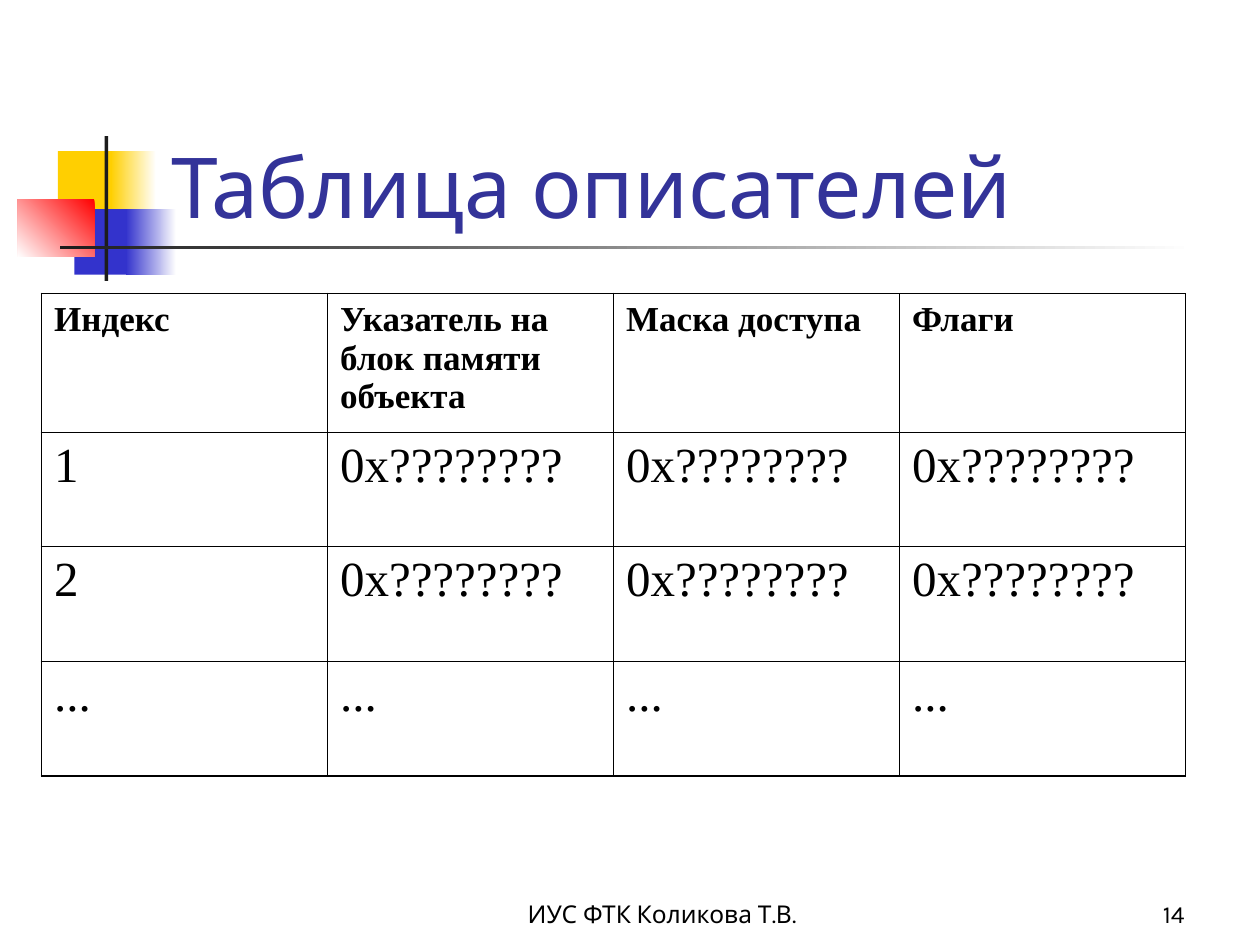
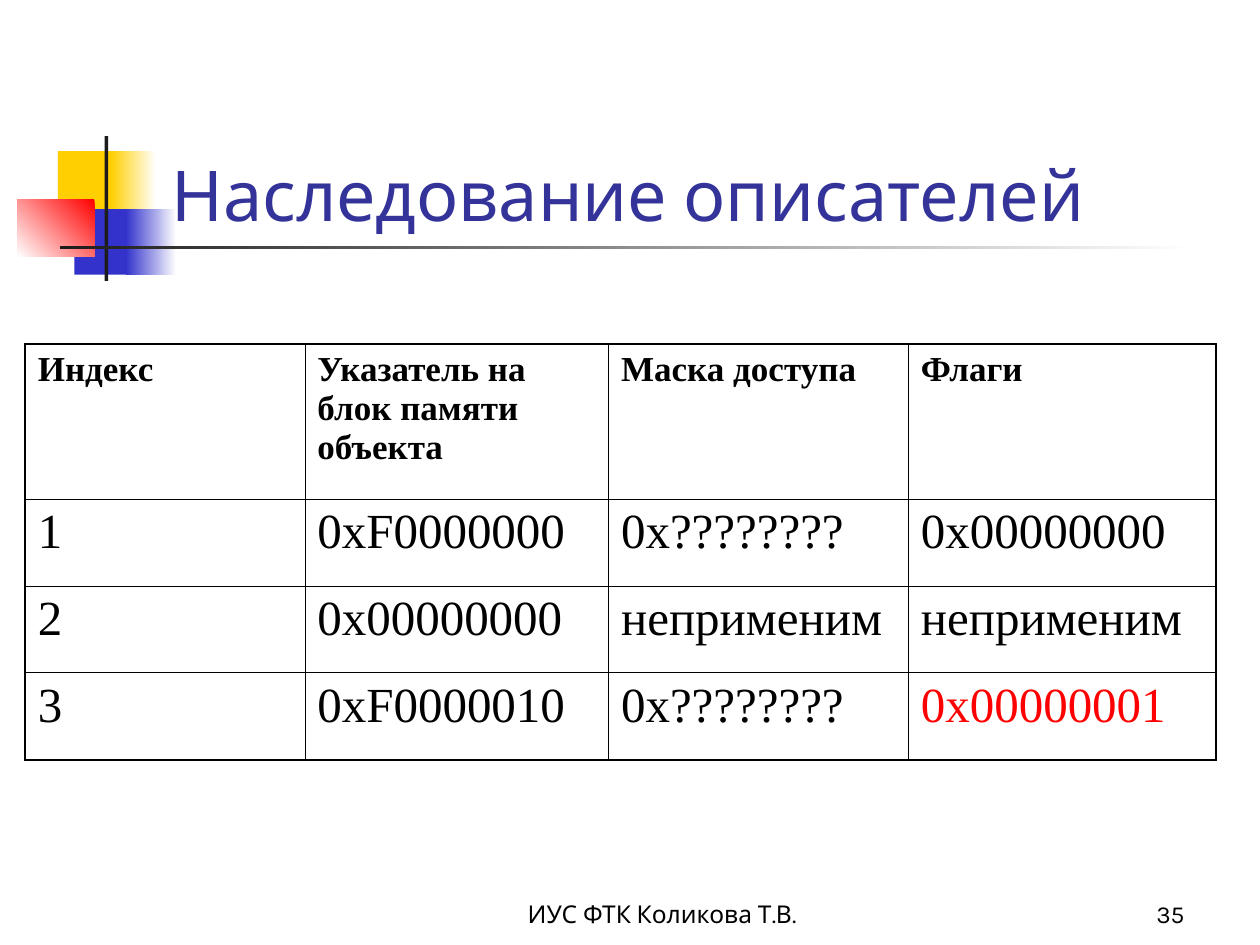
from lxml import etree
from pptx import Presentation
from pptx.dml.color import RGBColor
from pptx.enum.shapes import MSO_SHAPE
from pptx.enum.text import MSO_ANCHOR, MSO_AUTO_SIZE, PP_ALIGN
from pptx.oxml.ns import qn
from pptx.util import Inches, Pt

WHITE = RGBColor(0xFF, 0xFF, 0xFF)
BLACK = RGBColor(0x00, 0x00, 0x00)
YELLOW = RGBColor(0xFF, 0xCF, 0x01)
BLUE = RGBColor(0x33, 0x33, 0xCC)
RED = RGBColor(0xFF, 0x00, 0x00)
CHARCOAL = RGBColor(0x1C, 0x1C, 0x1C)
TITLE_BLUE = RGBColor(0x33, 0x33, 0x99)

MAIN_FONT, TABLE_FONT = "Karla", "Times New Roman"
THIN, THICK = Pt(0.45), Pt(1.08)

FOOTER = "ИУС ФТК Коликова Т.В."
HEADER = ["Индекс", "Указатель на блок памяти объекта", "Маска доступа", "Флаги"]
UNKNOWN = "0x????????"
ZERO = "0x00000000"
UNUSED = "неприменим"

SLIDES = [
    {
        "title": "Таблица описателей", "title_size": 48, "number": "14",
        "corner": (0.33, 2.33), "columns": [2.27] * 4, "rows": [1.1] + [0.91] * 3,
        "entries": [
            ["1"] + [UNKNOWN] * 3,
            ["2"] + [UNKNOWN] * 3,
            ["..."] * 4,
        ],
        "thin_top": {3}, "highlighted": set(),
    },
    {
        "title": "Наследование описателей", "title_size": 40, "number": "35",
        "corner": (0.2, 2.73), "columns": [2.22, 2.41, 2.38, 2.44],
        "rows": [1.23] + [0.69] * 3,
        "entries": [
            ["1", "0xF0000000", UNKNOWN, ZERO],
            ["2", ZERO, UNUSED, UNUSED],
            ["3", "0xF0000010", UNKNOWN, "0x00000001"],
        ],
        "thin_top": set(), "highlighted": {(3, 3)},
    },
]

# Position, then one colour, or start colour, end colour and counter-clockwise angle
EMBLEM = [
    ((0.46, 1.2, 0.48, 0.52), (YELLOW,)),
    ((0.88, 1.2, 0.36, 0.52), (WHITE, YELLOW, 180)),
    ((0.59, 1.66, 0.46, 0.52), (BLUE,)),
    ((1, 1.66, 0.4, 0.52), (WHITE, BLUE, 180)),
    ((0.14, 1.58, 0.61, 0.46), (RED, WHITE, 225)),
    ((0.83, 1.08, 0.03, 1.15), (CHARCOAL,)),
    ((0.48, 1.95, 9, 0.03), (WHITE, CHARCOAL, 180)),
]


def style_font(paragraph, name, size, color, bold=False):
    font = paragraph.font
    font.name, font.size, font.bold = name, Pt(size), bold
    font.color.rgb = color


def add_emblem(layout, slide):
    """Draw the emblem on the slide, then move it to the layout that all slides share."""
    for position, (color, *gradient) in EMBLEM:
        bar = slide.shapes.add_shape(MSO_SHAPE.RECTANGLE, *map(Inches, position))
        bar.shadow.inherit = False
        bar.line.fill.background()
        if gradient:
            end_color, angle = gradient
            bar.fill.gradient()
            bar.fill.gradient_angle = angle
            for stop, stop_color in zip(bar.fill.gradient_stops, (color, end_color)):
                stop.color.rgb = stop_color
        else:
            bar.fill.solid()
            bar.fill.fore_color.rgb = color
        layout.shapes.element.append(bar.element)


def add_title(slide, text, size):
    title = slide.shapes.title
    title.left, title.top = Inches(1.26), Inches(0.67)
    title.width, title.height = Inches(8.52), Inches(1.25)
    frame = title.text_frame
    frame.text = text
    frame.auto_size = MSO_AUTO_SIZE.NONE
    frame.vertical_anchor = MSO_ANCHOR.BOTTOM
    frame.paragraphs[0].alignment = PP_ALIGN.LEFT
    style_font(frame.paragraphs[0], MAIN_FONT, size, TITLE_BLUE)


def add_footer(slide, text, left, width, alignment):
    box = slide.shapes.add_textbox(Inches(left), Inches(6.92), Inches(width), Inches(0.5))
    frame = box.text_frame
    frame.word_wrap = True
    frame.vertical_anchor = MSO_ANCHOR.BOTTOM
    frame.text = text
    frame.paragraphs[0].alignment = alignment
    style_font(frame.paragraphs[0], MAIN_FONT, 14, BLACK)


def set_borders(cell, **widths):
    properties = cell._tc.get_or_add_tcPr()
    for side in "LRTB":
        line = etree.SubElement(properties, qn(f"a:ln{side}"), w=str(int(widths[side])))
        fill = etree.SubElement(line, qn("a:solidFill"))
        etree.SubElement(fill, qn("a:srgbClr"), val=str(BLACK))


def add_descriptor_table(slide, content):
    columns, rows = content["columns"], content["rows"]
    last_row, last_column = len(rows) - 1, len(columns) - 1
    table = slide.shapes.add_table(
        len(rows), len(columns), *map(Inches, content["corner"]),
        Inches(sum(columns)), Inches(sum(rows))).table
    table.first_row = table.horz_banding = False
    for column, width in zip(table.columns, columns):
        column.width = Inches(width)
    for row, height in zip(table.rows, rows):
        row.height = Inches(height)

    for r, texts in enumerate([HEADER] + content["entries"]):
        for c, text in enumerate(texts):
            cell = table.cell(r, c)
            cell.text = text
            paragraph = cell.text_frame.paragraphs[0]
            is_header = r == 0
            paragraph.space_before = Pt(5 if is_header else 7)
            color = RED if (r, c) in content["highlighted"] else BLACK
            style_font(paragraph, TABLE_FONT, 20 if is_header else 28, color, is_header)
            set_borders(
                cell,
                L=THICK if c == 0 else THIN,
                R=THICK if c == last_column else THIN,
                T=THICK if is_header and c not in content["thin_top"] else THIN,
                B=THICK if r == last_row else THIN)
            cell.fill.background()


def main():
    prs = Presentation()
    prs.slide_width, prs.slide_height = Inches(10), Inches(7.5)
    title_only = prs.slide_layouts[5]
    for index, content in enumerate(SLIDES):
        slide = prs.slides.add_slide(title_only)
        if index == 0:
            add_emblem(title_only, slide)
        add_title(slide, content["title"], content["title_size"])
        add_descriptor_table(slide, content)
        add_footer(slide, FOOTER, 3.67, 3.17, PP_ALIGN.CENTER)
        add_footer(slide, content["number"], 7.42, 2.08, PP_ALIGN.RIGHT)
    prs.save("out.pptx")


if __name__ == "__main__":
    main()
